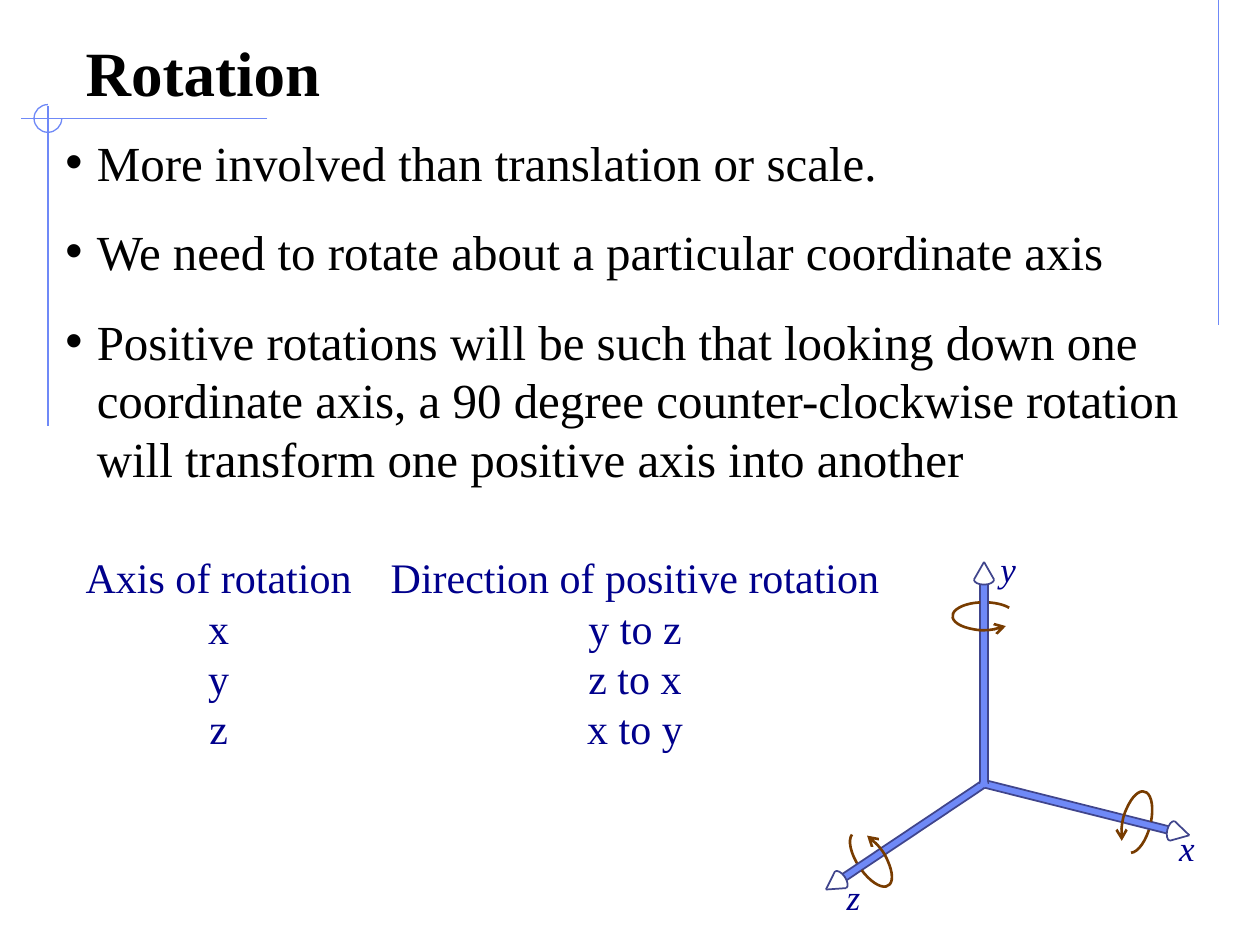
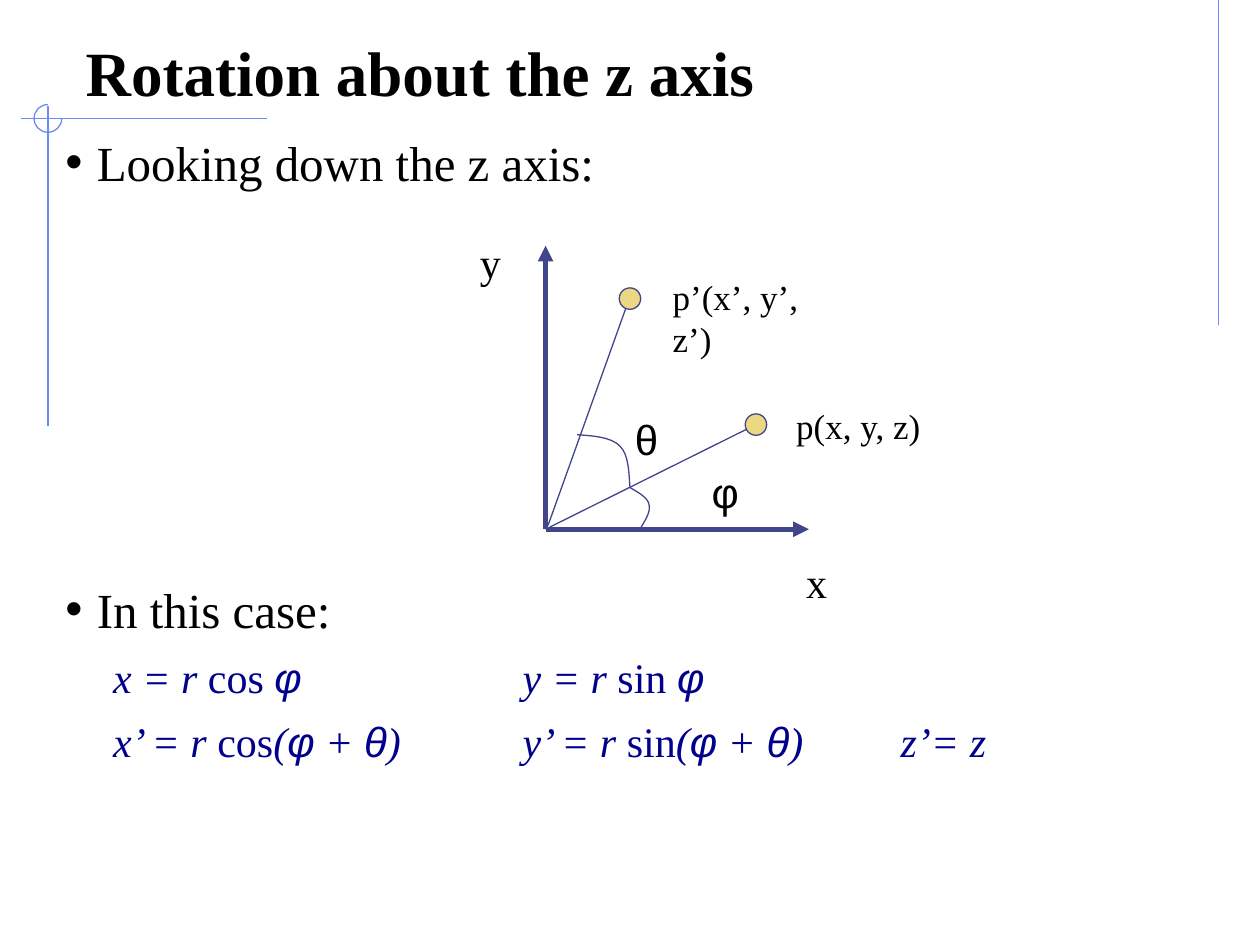
from math import ceil, cos, radians, sin, tan

from lxml.etree import SubElement
from pptx import Presentation
from pptx.dml.color import RGBColor
from pptx.enum.shapes import MSO_CONNECTOR, MSO_SHAPE
from pptx.enum.text import MSO_ANCHOR as Anchor, MSO_AUTO_SIZE as AutoSize, PP_ALIGN as Align
from pptx.oxml.ns import qn
from pptx.util import Inches, Pt

COLORS = {
    "text": "000000",
    "formula": "00008C",
    "accent": "6F89F7",
    "outline": "40458C",
    "turn": "783C00",
    "point": "ECD882",
}
SERIF, SANS = "Times New Roman", "Arial"
AXES_ORIGIN = (7.81, 6.22)
PLOT_ORIGIN = (4.33, 4.2)


def rgb(name):
    """Return the named palette colour."""
    return RGBColor.from_string(COLORS[name])


def format_line(shape, color, width, arrow=None):
    """Set the colour, width and optional end arrowhead of an outline."""
    shape.line.color.rgb = rgb(color)
    shape.line.width = Pt(width)
    if arrow:
        SubElement(shape.line._get_or_add_ln(), qn("a:tailEnd"), type=arrow)


def add_line(slide, start, end, color="outline", width=0.75, arrow=None):
    """Draw a straight line between two points."""
    ends = [Inches(value) for value in (*start, *end)]
    connector = slide.shapes.add_connector(MSO_CONNECTOR.STRAIGHT, *ends)
    format_line(connector, color, width, arrow)
    SubElement(connector._element.spPr, qn("a:effectLst"))


def add_curve(slide, knots, color="outline", width=0.75, arrow=None):
    """Draw an unfilled chain of cubic curves from knots and control points."""
    corners = [(Inches(x), Inches(y)) for x, y in knots]
    builder = slide.shapes.build_freeform(*corners[0], scale=1.0)
    builder.add_line_segments(corners[1:], close=False)
    shape = builder.convert_to_shape()
    outline = shape._element.find(".//" + qn("a:path"))
    segments = outline.findall(qn("a:lnTo"))
    for first in range(0, len(segments), 3):
        curve = SubElement(outline, qn("a:cubicBezTo"))
        for segment in segments[first:first + 3]:
            curve.append(segment[0])
            outline.remove(segment)
    shape.shadow.inherit = False
    shape.fill.background()
    format_line(shape, color, width, arrow)


def add_filled(slide, kind, center, size, fill, outline=None, rotation=0):
    """Draw a filled preset shape around its centre."""
    (x, y), (width, height) = center, size
    box = (x - width / 2, y - height / 2, width, height)
    shape = slide.shapes.add_shape(kind, *map(Inches, box))
    shape.rotation = rotation
    shape.shadow.inherit = False
    shape.fill.solid()
    shape.fill.fore_color.rgb = rgb(fill)
    if outline:
        format_line(shape, outline, 0.75)
    else:
        shape.line.fill.background()


def ellipse_arc(center, radius_x, radius_y, start, end):
    """Return cubic curve knots along an elliptical arc given in degrees."""
    count = ceil(abs(end - start) / 90)
    step = radians(end - start) / count
    reach = 4 / 3 * tan(step / 4)
    unit = [(cos(radians(start)), sin(radians(start)))]
    for index in range(count):
        a = radians(start) + index * step
        b = a + step
        unit += [(cos(a) - reach * sin(a), sin(a) + reach * cos(a)),
                 (cos(b) + reach * sin(b), sin(b) - reach * cos(b)),
                 (cos(b), sin(b))]
    return [(center[0] + radius_x * x, center[1] + radius_y * y) for x, y in unit]


def write_run(paragraph, text, size, color="text", font=SERIF, bold=False, italic=False):
    """Add a formatted run to a paragraph."""
    run = paragraph.add_run()
    run.text = text
    run.font.size = Pt(size)
    run.font.name = font
    run.font.bold = bold
    run.font.italic = italic
    run.font.color.rgb = rgb(color)


def add_frame(slide, left, top, width, height, wrap=False):
    """Add an empty text box and return its text frame."""
    box = slide.shapes.add_textbox(*map(Inches, (left, top, width, height)))
    box.text_frame.word_wrap = wrap
    box.text_frame.auto_size = AutoSize.NONE if wrap else AutoSize.SHAPE_TO_FIT_TEXT
    return box.text_frame


def next_paragraph(frame, index, space=0):
    """Return the paragraph at the index, spaced from the one before."""
    paragraph = frame.add_paragraph() if index else frame.paragraphs[0]
    paragraph.space_before = Pt(space if index else 0)
    return paragraph


def add_label(slide, lines, box, align=Align.LEFT, **style):
    """Add unwrapped lines of text in one format."""
    frame = add_frame(slide, *box)
    for index, line in enumerate(lines):
        paragraph = next_paragraph(frame, index)
        paragraph.alignment = align
        write_run(paragraph, line, **style)


def set_indent(paragraph, margin, first_line):
    """Set the left margin and first-line indent of a paragraph."""
    properties = paragraph._p.get_or_add_pPr()
    properties.set("marL", str(Inches(margin)))
    properties.set("indent", str(Inches(first_line)))
    return properties


def add_bullets(slide, lines, top, height):
    """Add the bulleted body text and return its text frame."""
    frame = add_frame(slide, 0.42, top, 9.17, height, wrap=True)
    for index, line in enumerate(lines):
        paragraph = next_paragraph(frame, index, space=17.5)
        properties = set_indent(paragraph, 0.25, -0.25)
        bullet_color = SubElement(properties, qn("a:buClr"))
        SubElement(bullet_color, qn("a:srgbClr"), val=COLORS["text"])
        SubElement(properties, qn("a:buFont"), typeface=SANS)
        SubElement(properties, qn("a:buChar"), char="•")
        write_run(paragraph, line, 28)
    return frame


def add_formula(frame, formula):
    """Append a formula whose pieces are separated by bars."""
    paragraph = next_paragraph(frame, len(frame.paragraphs), space=7.5)
    properties = set_indent(paragraph, 0.63, -0.25)
    properties.set("defTabSz", str(Inches(3)))
    tabs = SubElement(properties, qn("a:tabLst"))
    for position in (3, 6):
        SubElement(tabs, qn("a:tab"), pos=str(Inches(position)), algn="l")
    for piece in formula.split("|"):
        write_run(paragraph, piece, 24, color="formula",
                  font=SANS if piece in "φθ" else SERIF,
                  italic=piece.strip() not in ("cos", "sin"))


def add_titled_slide(presentation, title):
    """Add a slide with the shared corner lines and title."""
    slide = presentation.slides.add_slide(presentation.slide_layouts[5])
    for start, end in (((9.67, 0), (9.67, 2.58)),
                       ((2.12, 0.94), (0.17, 0.94)),
                       ((0.38, 0.84), (0.38, 3.38))):
        add_line(slide, start, end, "accent")
    add_curve(slide, ellipse_arc((0.38, 0.94), 0.11, 0.11, 270, 0), "accent")
    holder = slide.shapes.title
    holder.left, holder.top, holder.width, holder.height = map(Inches, (0.58, 0.25, 8.83, 0.67))
    frame = holder.text_frame
    frame.auto_size = AutoSize.NONE
    frame.vertical_anchor = Anchor.BOTTOM
    frame.paragraphs[0].alignment = Align.LEFT
    write_run(frame.paragraphs[0], title, 36, bold=True)
    return slide


def add_axis(slide, angle, length, ring_start):
    """Draw one space axis with its cone and turning arrow."""
    across, along = sin(radians(angle)), cos(radians(angle))

    def place(points):
        """Turn points along and across the axis into slide positions."""
        x, y = AXES_ORIGIN
        return [(x + u * along - v * across, y + u * across + v * along) for u, v in points]

    ring = ((length - 0.25, 0), 0.11, 0.25)
    add_curve(slide, place(ellipse_arc(*ring, ring_start, 0)), "turn", 1.5)
    middle = place([(length / 2, 0)])[0]
    add_filled(slide, MSO_SHAPE.RECTANGLE, middle, (length, 0.06), "accent", rotation=angle)
    for side in (-1, 1):
        add_line(slide, *place([(0, 0.03 * side), (length, 0.03 * side)]), width=1)
        add_line(slide, *place([(length + 0.04, 0.08 * side), (length + 0.18, 0)]), width=1)
    add_curve(slide, place(ellipse_arc((length + 0.04, 0), 0.04, 0.08, 270, 90)), width=1)
    add_curve(slide, place(ellipse_arc(*ring, -7, -224)), "turn", 1.5, "arrow")


def build_rotation(presentation):
    """Build the slide on positive rotations."""
    slide = add_titled_slide(presentation, "Rotation")
    add_bullets(slide, [
        "More involved than translation or scale.",
        "We need to rotate about a particular coordinate axis",
        "Positive rotations will be such that looking down one coordinate axis, "
        "a 90 degree counter-clockwise rotation will transform one positive axis into another",
    ], 1, 6.17)
    for angle, length, ring_start in ((146.2, 1.33, 82), (14.1, 1.5, 82), (270, 1.58, 53)):
        add_axis(slide, angle, length, ring_start)
    add_filled(slide, MSO_SHAPE.OVAL, AXES_ORIGIN, (0.06, 0.06), "accent")
    for name, left, top in (("x", 9.26, 6.51), ("y", 7.84, 4.3), ("z", 6.62, 6.9)):
        add_label(slide, [name], (left, top, 0.32, 0.44), size=20, color="formula", italic=True)
    columns = (
        (0.58, 2.31, ["Axis of rotation", "x", "y", "z"]),
        (3, 4.08, ["Direction of positive rotation", "y to z", "z to x", "x to y"]),
    )
    for left, width, lines in columns:
        add_label(slide, lines, (left, 4.33, width, 1.7), Align.CENTER, size=24, color="formula")


def build_z_rotation(presentation):
    """Build the slide on rotating about the z axis."""
    slide = add_titled_slide(presentation, "Rotation about the z axis")
    add_bullets(slide, ["Looking down the z axis:"], 1, 0.6)
    frame = add_bullets(slide, ["In this case:"], 4.55, 2.62)
    add_formula(frame, "x = r |cos |φ|\ty = r |sin |φ")
    add_formula(frame, "x’ = r |cos|(|φ| + |θ|)\ty’ = r |sin|(|φ| + |θ|)\tz’= z")

    for tip in ((6.42, 4.2), (4.33, 1.95)):
        add_line(slide, PLOT_ORIGIN, tip, width=3, arrow="triangle")
    for start, end, point in ((PLOT_ORIGIN, (6, 3.37), (6, 3.37)),
                              ((4.35, 4.17), (4.98, 2.41), (5, 2.37))):
        add_line(slide, start, end)
        add_filled(slide, MSO_SHAPE.OVAL, point, (0.17, 0.17), "point", "outline")
    for knots in (
        [(5, 3.87), (5.07, 3.91), (5.14, 3.95), (5.15, 4), (5.17, 4.06), (5.12, 4.13), (5.08, 4.2)],
        [(4.58, 3.45), (4.72, 3.46), (4.85, 3.47), (4.92, 3.54), (4.99, 3.61), (4.99, 3.74), (5, 3.87)],
    ):
        add_curve(slide, knots)
    for text, box, size, font in (
        ("x", (6.3, 4.37, 0.36, 0.5), 24, SERIF),
        ("y", (3.71, 1.83, 0.36, 0.5), 24, SERIF),
        ("p(x, y, z)", (6.22, 3.16, 1.2, 0.44), 20, SERIF),
        ("p’(x’, y’, z’)", (5.24, 2.14, 1.57, 0.44), 20, SERIF),
        ("φ", (5.55, 3.65, 0.37, 0.5), 24, SANS),
        ("θ", (4.94, 3.23, 0.37, 0.5), 24, SANS),
    ):
        add_label(slide, [text], box, size=size, font=font)


def main():
    """Build and save the presentation."""
    presentation = Presentation()
    presentation.slide_width = Inches(10)
    presentation.slide_height = Inches(7.5)
    build_rotation(presentation)
    build_z_rotation(presentation)
    presentation.save("out.pptx")


if __name__ == "__main__":
    main()
